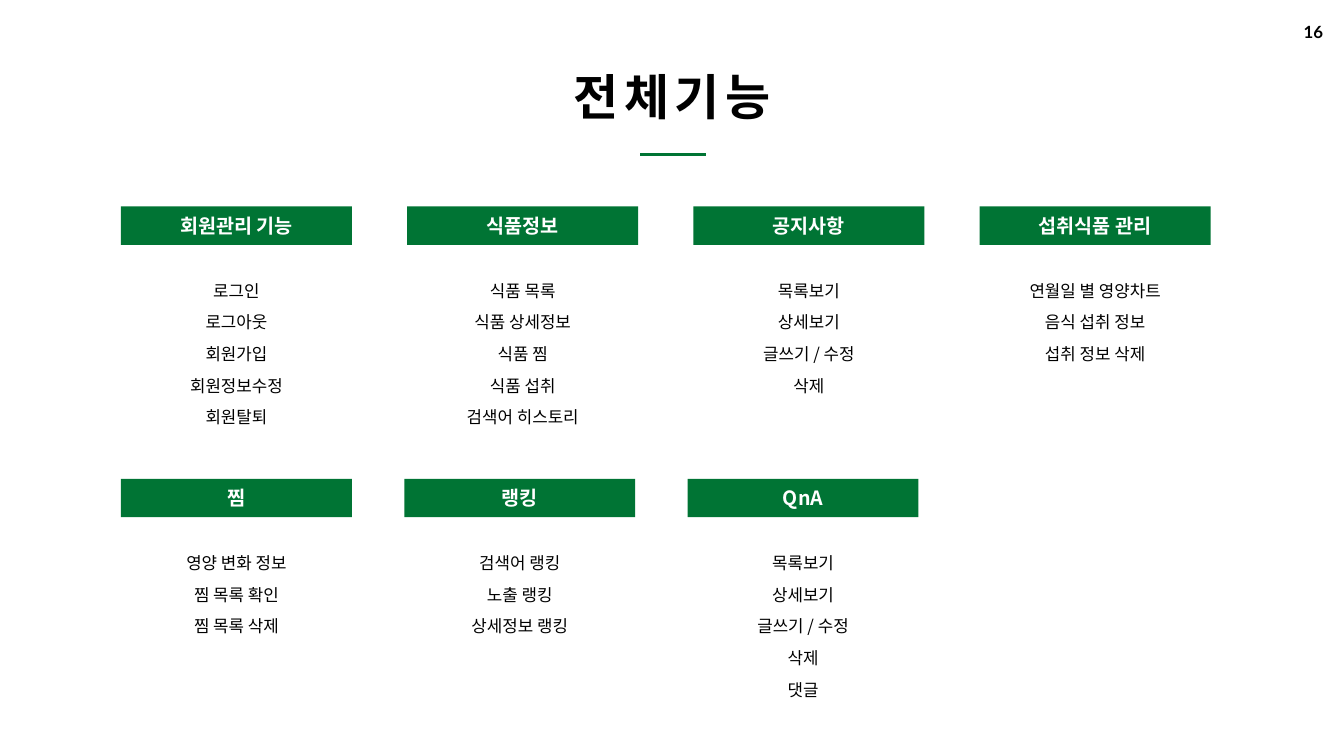
from copy import deepcopy

from lxml.etree import SubElement
from pptx import Presentation
from pptx.dml.color import RGBColor
from pptx.enum.shapes import MSO_CONNECTOR, MSO_SHAPE
from pptx.enum.text import MSO_ANCHOR, MSO_AUTO_SIZE, PP_ALIGN
from pptx.oxml.ns import qn
from pptx.util import Pt

GREEN = RGBColor(0x00, 0x74, 0x34)
BLACK = RGBColor(0x00, 0x00, 0x00)
WHITE = RGBColor(0xFF, 0xFF, 0xFF)
KOREAN = "Noto Sans CJK KR"
LATIN = "Lato"

# Each row: top, column step, groups of (heading, items)
ROWS = [
    (295, 408.8, [
        ("회원관리 기능", ["로그인", "로그아웃", "회원가입", "회원정보수정", "회원탈퇴"]),
        ("식품정보", ["식품 목록", "식품 상세정보", "식품 찜", "식품 섭취", "검색어 히스토리"]),
        ("공지사항", ["목록보기", "상세보기", "글쓰기 / 수정", "삭제"]),
        ("섭취식품 관리", ["연월일 별 영양차트", "음식 섭취 정보", "섭취 정보 삭제"]),
    ]),
    (684, 404.6, [
        ("찜", ["영양 변화 정보", "찜 목록 확인", "찜 목록 삭제"]),
        ("랭킹", ["검색어 랭킹", "노출 랭킹", "상세정보 랭킹"]),
        ("QnA", ["목록보기", "상세보기", "글쓰기 / 수정", "삭제", "댓글"]),
    ]),
]
LEFT, BAR_W, BAR_H = 172.8, 329.8, 54.7
LIST_W, LIST_DY = 238.4, 85.6
LINE, GAP, PAD_X, PAD_Y = 40.4, 4.8, 17.3, 8.6


class Page:
    """Holds the text style and the current slide."""

    def __init__(self, deck, count):
        layout = deck.slide_layouts[1]
        self.widen(layout, count)
        self.slide = deck.slides.add_slide(layout)
        self.shapes = self.slide.shapes
        self.lists = [p for p in self.slide.placeholders if p.placeholder_format.idx]

    def widen(self, layout, count):
        # Give the layout one body placeholder for each list
        body = next(p for p in layout.placeholders if p.placeholder_format.idx == 1)
        for num in range(1, count):
            twin = deepcopy(body.element)
            twin.xpath(".//p:cNvPr")[0].set("id", str(100 + num))
            twin.xpath(".//p:ph")[0].set("idx", str(100 + num))
            body.element.addnext(twin)

    def place(self, shape, left, top, width, height):
        shape.left, shape.top = Pt(left), Pt(top)
        shape.width, shape.height = Pt(width), Pt(height)

    def style(self, para, size, color, bold=False, face=KOREAN, track=0):
        para.alignment = PP_ALIGN.CENTER
        for run in para.runs:
            font = run.font
            font.size, font.bold, font.name = Pt(size), bold, face
            font.color.rgb = color
            props = run._r.get_or_add_rPr()
            SubElement(props, qn("a:ea")).set("typeface", face)
            if track:
                props.set("spc", str(track * 100))

    def title(self, text):
        shape = self.shapes.title
        self.place(shape, 803.5, 91.4, 312.5, 92.2)
        frame = shape.text_frame
        frame.text = text
        frame.word_wrap = False
        frame.auto_size = MSO_AUTO_SIZE.SHAPE_TO_FIT_TEXT
        frame.vertical_anchor = MSO_ANCHOR.TOP
        self.style(frame.paragraphs[0], 70, BLACK, bold=True, track=8)

    def number(self, text):
        box = self.shapes.add_textbox(Pt(1839), Pt(24.5), Pt(73.4), Pt(43.9))
        frame = box.text_frame
        frame.text = text
        frame.word_wrap = False
        frame.margin_top = frame.margin_bottom = Pt(7.2)
        self.style(frame.paragraphs[0], 24, BLACK, bold=True, face=LATIN)

    def rule(self, left, right, top):
        line = self.shapes.add_connector(
            MSO_CONNECTOR.STRAIGHT, Pt(left), Pt(top), Pt(right), Pt(top))
        line.line.color.rgb = GREEN
        line.line.width = Pt(4.5)
        SubElement(line._element.spPr, qn("a:effectLst"))

    def bar(self, text, left, top):
        shape = self.shapes.add_shape(
            MSO_SHAPE.RECTANGLE, Pt(left), Pt(top), Pt(BAR_W), Pt(BAR_H))
        shape.shadow.inherit = False
        shape.fill.solid()
        shape.fill.fore_color.rgb = GREEN
        shape.line.fill.background()
        frame = shape.text_frame
        frame.text = text
        frame.vertical_anchor = MSO_ANCHOR.MIDDLE
        self.style(frame.paragraphs[0], 28, WHITE, bold=True)

    def items(self, shape, texts, left, top):
        height = len(texts) * (LINE + GAP) - GAP + 2 * PAD_Y
        self.place(shape, left, top, LIST_W, height)
        frame = shape.text_frame
        frame.text = "\n".join(texts)
        frame.word_wrap = True
        frame.auto_size = MSO_AUTO_SIZE.SHAPE_TO_FIT_TEXT
        frame.vertical_anchor = MSO_ANCHOR.TOP
        frame.margin_left = frame.margin_right = Pt(PAD_X)
        frame.margin_top = frame.margin_bottom = Pt(PAD_Y)
        for num, para in enumerate(frame.paragraphs):
            props = para._p.get_or_add_pPr()
            props.set("marL", "0")
            props.set("indent", "0")
            SubElement(props, qn("a:buNone"))
            para.line_spacing = Pt(LINE)
            para.space_before = Pt(GAP if num else 0)
            self.style(para, 24, BLACK)


def main():
    deck = Presentation()
    deck.slide_width, deck.slide_height = Pt(1919.5), Pt(1080)
    page = Page(deck, sum(len(groups) for _, _, groups in ROWS))

    # Heading
    page.number("16")
    page.title("전체기능")
    page.rule(914.4, 1008, 220.5)

    # Feature groups
    slots = iter(page.lists)
    for top, step, groups in ROWS:
        for col, (name, texts) in enumerate(groups):
            left = LEFT + col * step
            page.bar(name, left, top)
            page.items(next(slots), texts, left + (BAR_W - LIST_W) / 2, top + LIST_DY)

    deck.save("out.pptx")


if __name__ == "__main__":
    main()
